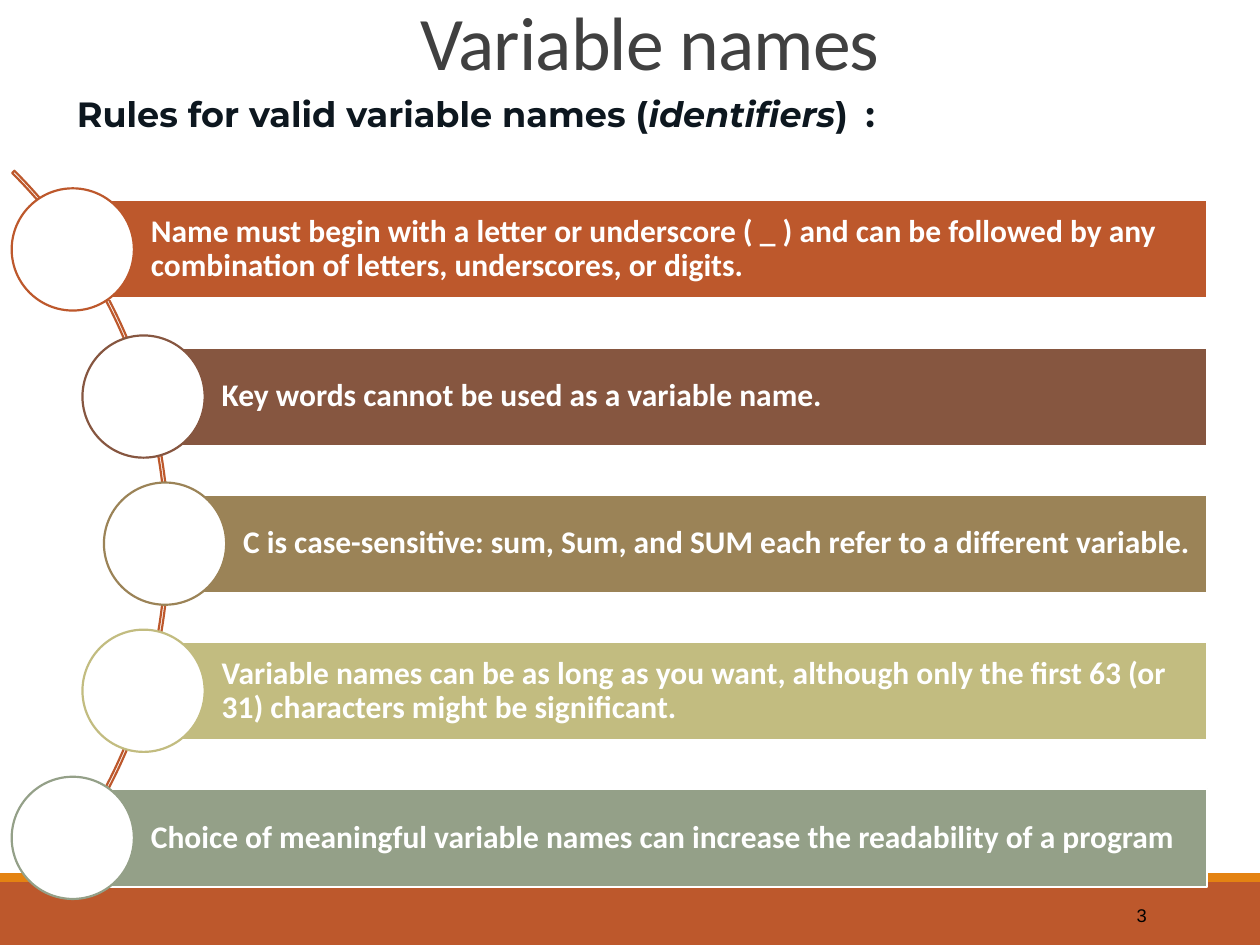
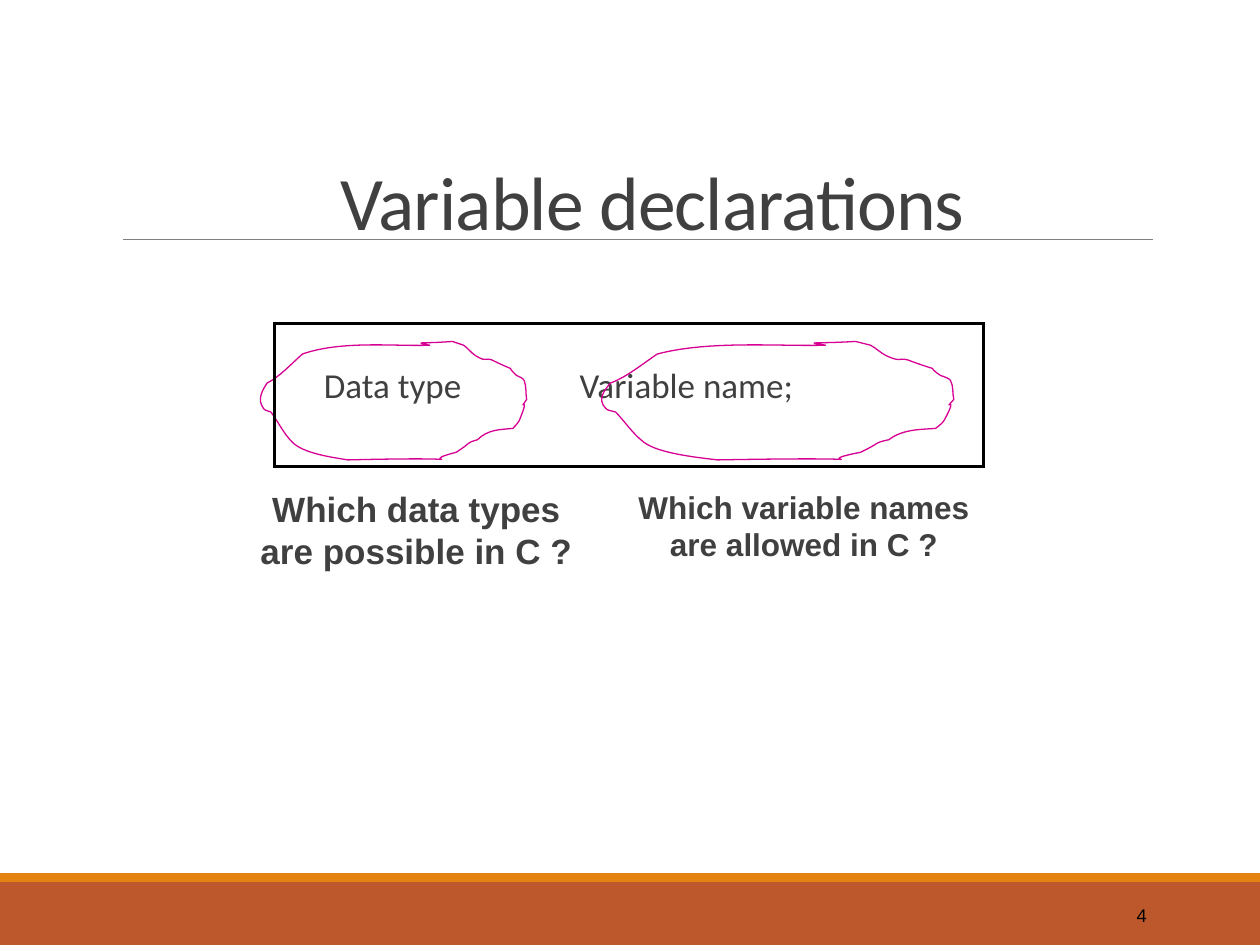
"""Builds two slides on variable names and declarations in C."""
from dataclasses import dataclass
from math import sqrt

from lxml import etree
from pptx import Presentation
from pptx import util as u
from pptx.dml.color import RGBColor
from pptx.enum import shapes, text
from pptx.oxml import ns


@dataclass(frozen=True)
class Theme:
    rust: str = "BD582C"
    orange: str = "E48312"
    white: str = "FFFFFF"
    black: str = "000000"
    dark: str = "404040"
    navy: str = "0D171F"
    grey: str = "808080"
    pink: str = "D60093"
    sans: str = "Calibri"
    plain: str = "Arial"
    lead: str = "Montserrat"
    head: float = 43.2
    body: float = 20
    item: float = 18
    small: float = 10.5


T = Theme()
KIND = shapes.MSO_SHAPE
MID, LOW = text.MSO_ANCHOR.MIDDLE, text.MSO_ANCHOR.BOTTOM
MARGIN = (0.1, 0.05, 0.1, 0.05)
SLIM = (0.07, 0.04, 0.07, 0.04)

RULES = [
    ("Name must begin with a letter or underscore ( _ ) and can be followed by any "
     "combination of letters, underscores, or digits.", T.rust),
    ("Key words cannot be used as a variable name.", "865640"),
    ("C is case-sensitive: sum, Sum, and SUM each refer to a different variable.", "9B8357"),
    ("Variable names can be as long as you want, although only the first 63 (or 31) "
     "characters might be significant.", "C2BC80"),
    ("Choice of meaningful variable names can increase the readability of a program", "94A088"),
]
LEAD = [("Rules for valid variable names (", False), ("identifiers", True), (")\t:", False)]
ASKS = [
    (["Which data types", "are possible in C ?"], (1.92, 3.82, 2.77, 0.77), T.body),
    (["Which variable names", "are allowed in C ?"], (4.92, 3.82, 2.92, 0.71), T.item),
]
LOOPS = [(2.04, 2.17), (4.74, 2.87)]
START = (3.41, 2.74)
CURVES = [
    (3.14, 2.75, 2.71, 2.7, 2.4, 2.81), (2.31, 2.89, 2.22, 2.99, 2.12, 3.04),
    (2.08, 3.1, 2.04, 3.17, 2.09, 3.24), (2.1, 3.26, 2.13, 3.26, 2.15, 3.27),
    (2.21, 3.35, 2.25, 3.44, 2.32, 3.51), (2.41, 3.6, 2.64, 3.63, 2.76, 3.65),
    (4, 3.62, 3.22, 3.69, 3.62, 3.59), (3.76, 3.5, 3.69, 3.52, 3.79, 3.49),
    (3.87, 3.41, 3.96, 3.41, 4.07, 3.4), (4.09, 3.38, 4.11, 3.36, 4.12, 3.34),
    (4.22, 3.1, 4.1, 3.29, 4.18, 3.17), (4.17, 3.12, 4.18, 3.07, 4.16, 3.02),
    (4.15, 3, 4.12, 2.99, 4.1, 2.98), (3.99, 2.88, 4.14, 2.97, 3.93, 2.87),
    (3.84, 2.82, 3.88, 2.89, 3.77, 2.82), (3.74, 2.8, 3.71, 2.76, 3.68, 2.74),
    (3.65, 2.73, 3.59, 2.71, 3.59, 2.71), (3.33, 2.73, 3.28, 2.71, 3.41, 2.74),
]


def paint(shape, fill=None, line=None, width=1.25):
    shape.shadow.inherit = False
    if fill:
        shape.fill.solid()
        shape.fill.fore_color.rgb = RGBColor.from_string(fill)
    else:
        shape.fill.background()
    if line:
        shape.line.color.rgb = RGBColor.from_string(line)
        shape.line.width = u.Pt(width)
    else:
        shape.line.fill.background()


def block(slide, kind, at, fill=None, line=None, width=1.25):
    shape = slide.shapes.add_shape(kind, *map(u.Inches, at))
    paint(shape, fill, line, width)
    return shape


def setup(shape, edge=MARGIN, anchor=text.MSO_ANCHOR.TOP, wrap=True):
    frame = shape.text_frame
    frame.word_wrap, frame.vertical_anchor = wrap, anchor
    (frame.margin_left, frame.margin_top,
     frame.margin_right, frame.margin_bottom) = map(u.Inches, edge)
    return frame


def box(slide, at, **opts):
    return setup(slide.shapes.add_textbox(*map(u.Inches, at)), **opts)


def style(para, size, face, tint, bold=False, align=text.PP_ALIGN.LEFT, space=None):
    font = para.font
    font.size, font.name, font.bold = u.Pt(size), face, bold
    font.color.rgb = RGBColor.from_string(tint)
    para.alignment = align
    if space:
        para.line_spacing = space


def stop(para, at):
    tabs = etree.SubElement(para._p.get_or_add_pPr(), ns.qn("a:tabLst"))
    etree.SubElement(tabs, ns.qn("a:tab"), pos=str(u.Inches(at)), algn="l")


def base(deck, title, left, top, page):
    slide = deck.slides.add_slide(deck.slide_layouts[6])
    block(slide, KIND.RECTANGLE, (0, 7, 10, 0.5), T.rust)
    block(slide, KIND.RECTANGLE, (0, 6.93, 10, 0.07), T.orange)
    para = box(slide, (left, top, 5.88, 0.56), anchor=LOW).paragraphs[0]
    run = para.add_run()
    run.text = title
    style(para, T.head, T.sans, T.dark, align=text.PP_ALIGN.CENTER, space=0.85)
    run.font._element.set("spc", "-50")
    para = box(slide, (8.12, 7.06, 1.08, 0.4), anchor=MID).paragraphs[0]
    para.text = str(page)
    style(para, T.small, T.plain, T.black, align=text.PP_ALIGN.RIGHT)
    return slide


def names(deck):
    slide = base(deck, "Variable names", 2.22, 0.17, 3)
    para = box(slide, (0.54, 0.73, 8.94, 0.4), edge=SLIM).paragraphs[0]
    for words, slant in LEAD:
        run = para.add_run()
        run.text, run.font.italic = words, slant
    stop(para, 6.26)
    style(para, T.body, T.lead, T.navy, True, space=0.9)

    arc = block(slide, KIND.BLOCK_ARC, (-7.03, 0.13, 8.37, 8.37), line=T.rust)
    for i, value in enumerate((189, 27, 0.003)):
        arc.adjustments[i] = value

    first, last, right, tall, dot = 1.98, 6.65, 9.58, 0.78, 0.97
    hub_x, hub_y, reach = -2.78, (first + last) / 2, 4.09
    step = (last - first) / (len(RULES) - 1)
    for i, (words, tint) in enumerate(RULES):
        y = first + i * step
        x = hub_x + sqrt(reach ** 2 - (y - hub_y) ** 2)
        bar = block(slide, KIND.RECTANGLE, (x, y - tall / 2, right - x, tall), tint, T.white)
        para = setup(bar, (0.62, 0.05, 0.05, 0.05), MID).paragraphs[0]
        para.text = words
        style(para, T.item, T.sans, T.white, True, space=0.9)
        block(slide, KIND.OVAL, (x - dot / 2, y - dot / 2, dot, dot), T.white, tint)


def ring(slide, left, width):
    home, span = LOOPS[0]
    flat = [START] + [pair for c in CURVES for pair in zip(c[::2], c[1::2])]
    spots = [(u.Inches(left + (x - home) * width / span), u.Inches(y)) for x, y in flat]
    pen = slide.shapes.build_freeform(*spots[0], scale=1.0)
    pen.add_line_segments(spots[1:], close=True)
    shape = pen.convert_to_shape()
    legs = list(shape._element.iter(ns.qn("a:lnTo")))
    for i in range(0, len(legs), 3):
        curve = etree.Element(ns.qn("a:cubicBezTo"))
        legs[i].addprevious(curve)
        for leg in legs[i:i + 3]:
            curve.append(leg[0])
            leg.getparent().remove(leg)
    paint(shape, line=T.pink, width=0.75)


def types(deck):
    slide = base(deck, "Variable declarations", 2.24, 1.44, 4)
    rule = slide.shapes.add_connector(shapes.MSO_CONNECTOR.STRAIGHT,
                                      *map(u.Inches, (0.98, 1.9, 9.15, 1.9)))
    rule.line.color.rgb = RGBColor.from_string(T.grey)
    rule.line.width = u.Pt(0.5)
    etree.SubElement(rule._element.spPr, ns.qn("a:effectLst"))

    para = box(slide, (2.5, 2.88, 5.56, 0.94), edge=SLIM).paragraphs[0]
    para.text = "Data type\tVariable name;"
    stop(para, 2.03)
    style(para, T.body, T.sans, T.dark, space=0.9)

    for lines, at, size in ASKS:
        frame = box(slide, at, wrap=False)
        frame.text = "\n".join(lines)
        for para in frame.paragraphs:
            style(para, size, T.plain, T.dark, True, text.PP_ALIGN.CENTER)
    for left, width in LOOPS:
        ring(slide, left, width)
    edge = block(slide, KIND.RECTANGLE, (2.18, 2.57, 5.63, 1.13), line=T.black, width=1.75)
    etree.SubElement(edge.line._get_or_add_ln(), ns.qn("a:miter"), lim="800000")


def main():
    deck = Presentation()
    deck.slide_width, deck.slide_height = u.Inches(10), u.Inches(7.5)
    names(deck)
    types(deck)
    deck.save("out.pptx")


if __name__ == "__main__":
    main()
